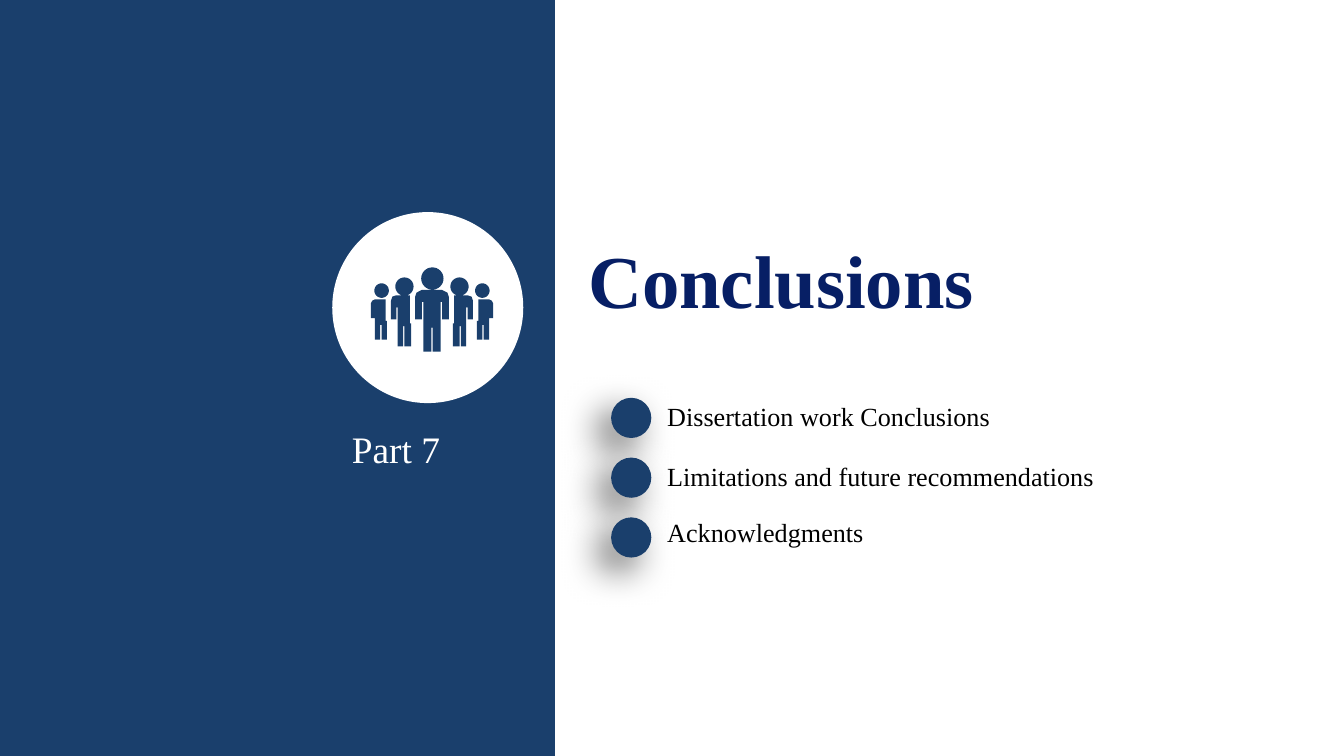
from dataclasses import dataclass
from math import cos, pi, sin

from lxml.etree import SubElement
from pptx import Presentation
from pptx.dml.color import RGBColor
from pptx.enum.shapes import MSO_SHAPE as SHAPE
from pptx.enum.text import MSO_AUTO_SIZE as FIT, PP_ALIGN as ALIGN
from pptx.oxml.ns import qn
from pptx.util import Cm, Pt


@dataclass(frozen=True)
class Theme:
    """Colours, font and type sizes of the slide."""
    navy: RGBColor = RGBColor(0x1A, 0x3F, 0x6C)
    title: RGBColor = RGBColor(0x07, 0x1F, 0x65)
    white: RGBColor = RGBColor(0xFF, 0xFF, 0xFF)
    black: RGBColor = RGBColor(0, 0, 0)
    font: str = "Times New Roman"
    title_size: int = 40
    part_size: int = 20
    item_size: int = 14


@dataclass(frozen=True)
class Box:
    """A region in centimetres."""
    x: float
    y: float
    w: float
    h: float

    def inner(self, dx, dy, w, h):
        """Return a box placed relative to this one."""
        return Box(self.x + dx, self.y + dy, w, h)

    def emu(self):
        """Return left, top, width and height as lengths."""
        return Cm(self.x), Cm(self.y), Cm(self.w), Cm(self.h)


THEME = Theme()
ITEMS = (
    ("Dissertation work Conclusions", 6.68, -0.08),
    ("Limitations and future recommendations", 8.64, -0.08),
    ("Acknowledgments", 4.42, -0.15),
)
ICON_WIDTH = 91
LEADER_BODY = (
    (53, 39), (53, 26), (52, 26), (52, 63), (46, 63), (46, 45), (45, 45),
    (45, 63), (39, 63), (39, 26), (38, 26), (38, 39), (33, 39), (33, 22),
    (34, 19), (38, 17), (53, 17), (57, 19), (58, 22), (58, 39))
INNER_BODY = (
    (30, 42), (30, 59), (25, 59), (25, 44), (24, 44), (24, 59), (20, 59),
    (20, 30), (19, 30), (19, 39), (15, 39), (15, 25), (16, 22), (19, 21),
    (29, 21), (29, 42))
OUTER_BODY = (
    (12, 40), (12, 54), (8, 54), (8, 43), (7, 43), (7, 54), (3, 54),
    (3, 38), (0, 38), (0, 27), (1, 25), (3, 24), (11, 24), (11, 40))


def paint(sp, color):
    """Give a shape a flat fill without line or shadow."""
    sp.shadow.inherit = False
    sp.fill.solid()
    sp.fill.fore_color.rgb = color
    sp.line.fill.background()
    return sp


def add_text(shapes, box, text, size, color, bold=False, align=None,
             wrap=True, inset=True):
    """Add a text box holding one run."""
    tf = shapes.add_textbox(*box.emu()).text_frame
    tf.word_wrap = wrap
    tf.auto_size = FIT.SHAPE_TO_FIT_TEXT
    if not inset:
        tf.margin_left = tf.margin_top = tf.margin_right = tf.margin_bottom = 0
    p = tf.paragraphs[0]
    p.alignment = align
    r = p.add_run()
    r.text = text
    r.font.name = THEME.font
    r.font.size = Pt(size)
    r.font.bold = bold
    r.font.color.rgb = color


def add_drop_shadow(sp):
    """Add a soft black shadow falling to the lower left."""
    effects = sp._element.spPr.find(qn("a:effectLst"))
    shadow = SubElement(effects, qn("a:outerShdw"), blurRad=str(Pt(20)),
                        dist=str(Pt(10)), dir=str(135 * 60000),
                        algn="tr", rotWithShape="0")
    color = SubElement(shadow, qn("a:srgbClr"), val=str(THEME.black))
    SubElement(color, qn("a:alpha"), val="60000")


def head(cx, cy, radius, steps=32):
    """Return the points of a round head."""
    angles = (2 * pi * i / steps for i in range(steps))
    return [(cx + radius * cos(a), cy + radius * sin(a)) for a in angles]


def mirror(outline):
    """Return an outline flipped across the icon's middle."""
    return [(ICON_WIDTH - x, y) for x, y in outline]


def draw_team(shapes, box):
    """Draw five people as one freeform."""
    left_side = [INNER_BODY, head(25, 14.5, 6.8),
                 OUTER_BODY, head(8, 17.5, 5.4)]
    outlines = [LEADER_BODY, head(45.8, 8.5, 8.3), *left_side,
                *map(mirror, left_side)]
    fine = 100
    outlines = [[(x * fine, y * fine) for x, y in o] for o in outlines]
    builder = shapes.build_freeform(*outlines[0][0],
                                    scale=Cm(box.w) / (ICON_WIDTH * fine))
    builder.add_line_segments(outlines[0][1:], close=True)
    for start, *rest in outlines[1:]:
        builder.move_to(*start)
        builder.add_line_segments(rest, close=True)
    paint(builder.convert_to_shape(Cm(box.x), Cm(box.y)), THEME.navy)


def draw_part_panel(shapes, box):
    """Draw the navy panel with its badge and part number."""
    paint(shapes.add_shape(SHAPE.RECTANGLE, *box.emu()), THEME.navy)
    badge = box.inner(6.28, 4.01, 3.61, 3.61)
    group = shapes.add_group_shape().shapes
    paint(group.add_shape(SHAPE.OVAL, *badge.emu()), THEME.white)
    draw_team(group, badge.inner(0.73, 1.04, 2.31, 1.6))
    add_text(shapes, box.inner(6.65, 8.05, 3.45, 0.86), "Part 7",
             THEME.part_size, THEME.white, inset=False)


def draw_outline(shapes, box):
    """Draw the section title and its list of topics."""
    add_text(shapes, box.inner(0.38, 4.29, box.w - 0.38, 1.96), "Conclusions",
             THEME.title_size, THEME.title, bold=True, align=ALIGN.JUSTIFY)
    for i, (text, width, shift) in enumerate(ITEMS):
        row = box.inner(1.06, 7.52 + 1.13 * i, 0.76, 0.76)
        dot = paint(shapes.add_shape(SHAPE.OVAL, *row.emu()), THEME.navy)
        add_drop_shadow(dot)
        add_text(shapes, row.inner(0.81, shift, width, 0.86), text,
                 THEME.item_size, THEME.black, wrap=False)


def main():
    """Build and save the section slide."""
    prs = Presentation()
    prs.slide_width, prs.slide_height = Cm(25.4), Cm(14.29)
    s = prs.slides.add_slide(prs.slide_layouts[6])
    draw_part_panel(s.shapes, Box(0, 0, 10.49, 14.29))
    draw_outline(s.shapes, Box(10.49, 0, 14.91, 14.29))
    prs.save("out.pptx")


if __name__ == "__main__":
    main()
